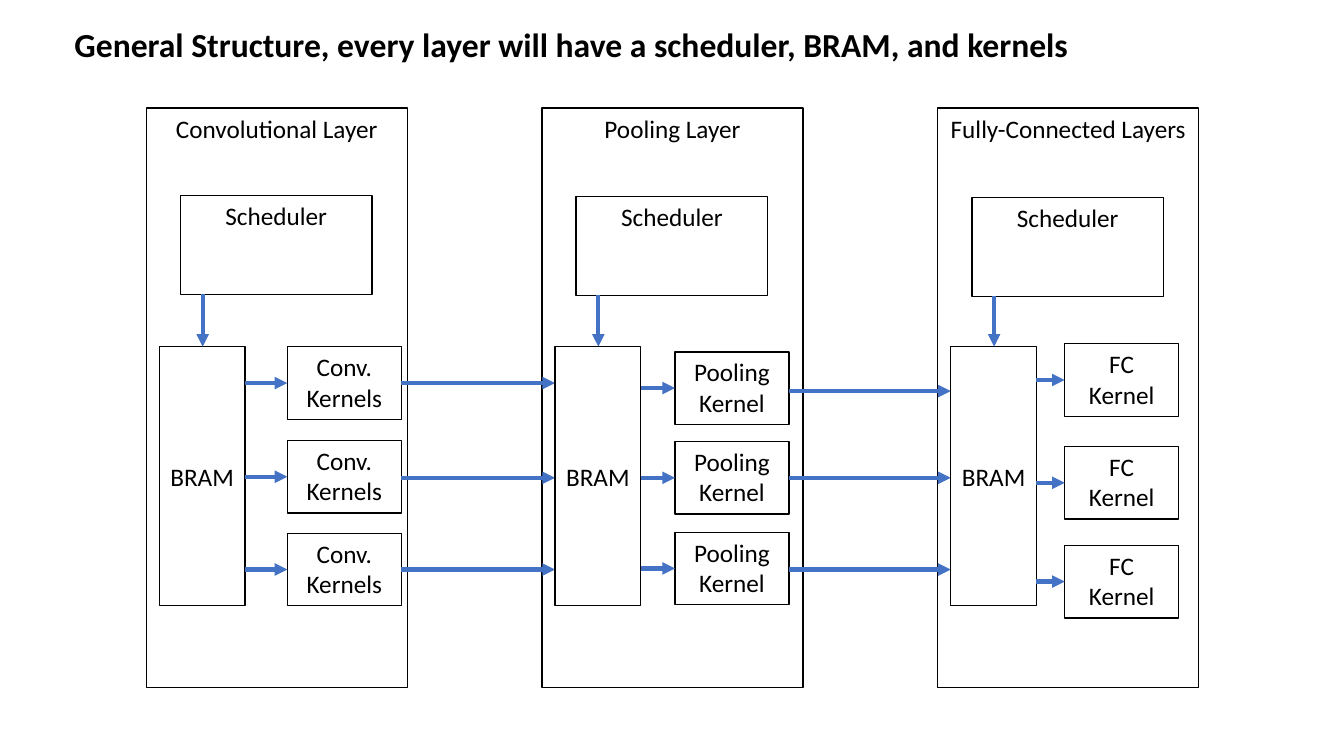
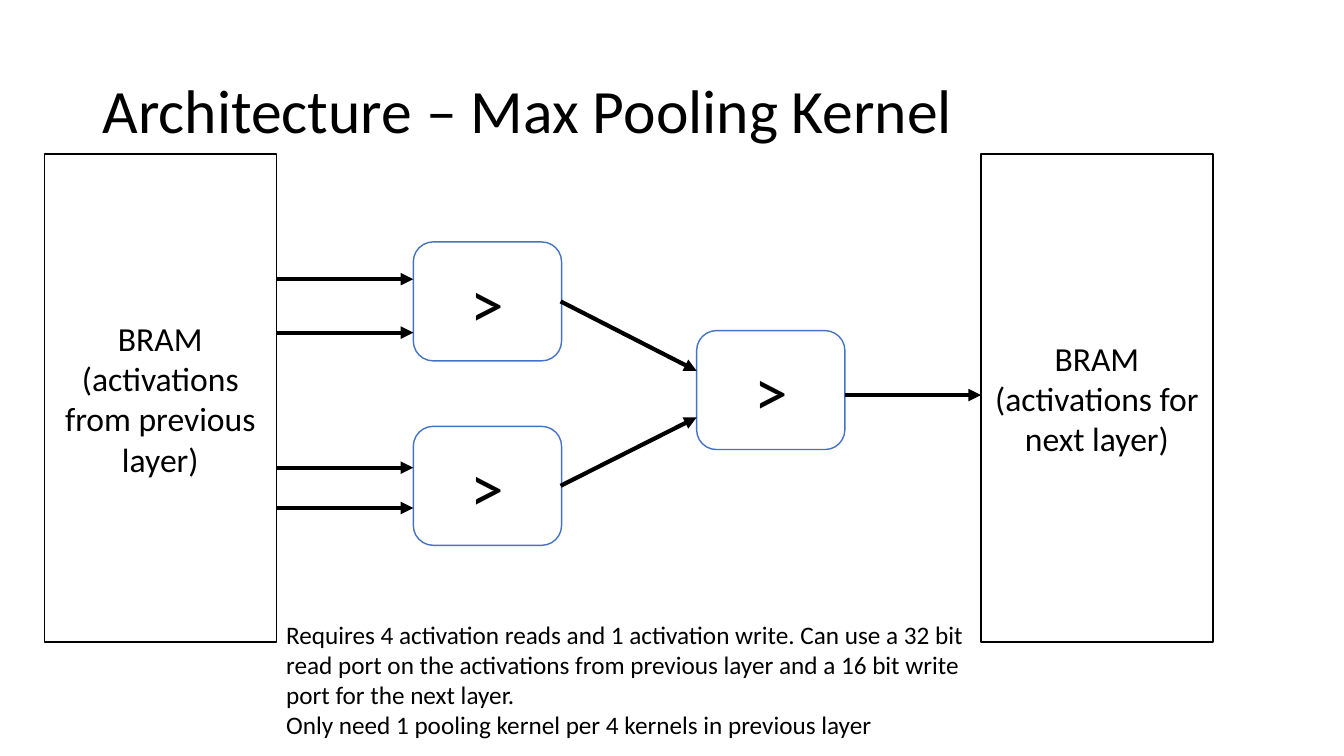
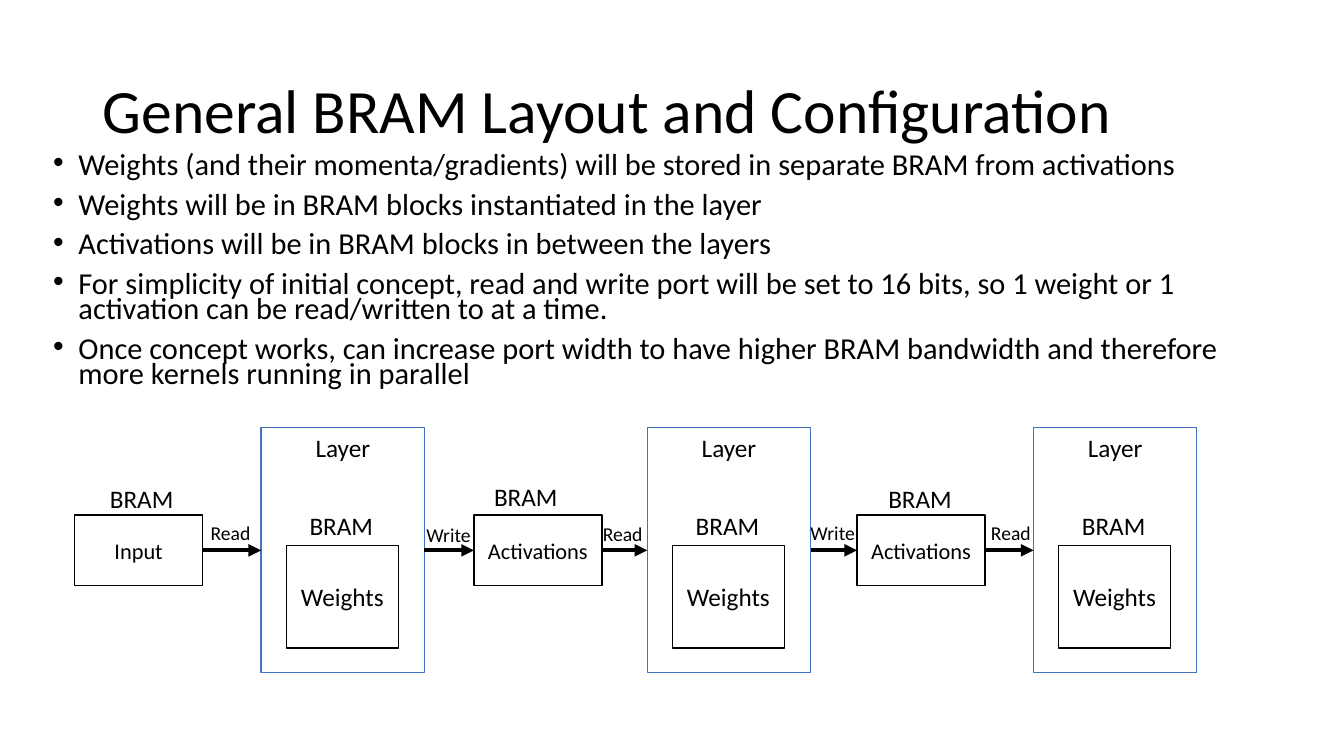
"""Three slides on the structure of a layered accelerator and its memory."""
from lxml import etree
from pptx import Presentation
from pptx.dml.color import RGBColor
from pptx.enum.shapes import MSO_CONNECTOR as LINK, MSO_SHAPE as FORM
from pptx.enum.text import MSO_ANCHOR as ANCHOR, PP_ALIGN as ALIGN
from pptx.oxml.ns import qn
from pptx.util import Inches, Pt

BLACK = RGBColor(0x00, 0x00, 0x00)
WHITE = RGBColor(0xFF, 0xFF, 0xFF)
BLUE = RGBColor(0x44, 0x72, 0xC4)
FONT = "Calibri"
HEAD = (0.92, 0.4, 11.5, 1.45)
LEFT, MID = ALIGN.LEFT, ALIGN.CENTER


def box(slide, text, area, size=18, line=None, form=FORM.RECTANGLE,
        anchor=ANCHOR.TOP, align=MID, space=None):
    """Add text, in a white outlined shape when a line colour is given."""
    area = [Inches(n) for n in area]
    if line is None:
        shape = slide.shapes.add_textbox(*area)
    else:
        shape = slide.shapes.add_shape(form, *area)
        shape.shadow.inherit = False
        shape.fill.solid()
        shape.fill.fore_color.rgb = WHITE
        shape.line.color.rgb = line
        shape.line.width = Pt(1)
    frame = shape.text_frame
    frame.text = text
    frame.word_wrap = True
    frame.vertical_anchor = anchor
    for para in frame.paragraphs:
        para.alignment = align
        para.line_spacing = space
        for run in para.runs:
            run.font.name = FONT
            run.font.size = Pt(size)
            run.font.color.rgb = BLACK
    return frame


def arrow(slide, x1, y1, x2, y2, color=BLACK):
    """Add a straight arrow that points at its second end."""
    ends = [Inches(n) for n in (x1, y1, x2, y2)]
    link = slide.shapes.add_connector(LINK.STRAIGHT, *ends)
    link.line.color.rgb = color
    link.line.width = Pt(3)
    props = link._element.spPr
    etree.SubElement(props.find(qn("a:ln")), qn("a:tailEnd"), type="triangle")
    etree.SubElement(props, qn("a:effectLst"))


deck = Presentation()
deck.slide_width, deck.slide_height = Inches(13.33), Inches(7.5)
flow, pool, bram = [deck.slides.add_slide(deck.slide_layouts[6]) for _ in range(3)]

title = box(flow, "General Structure, every layer will have a scheduler, BRAM, and kernels",
            (0.64, 0.19, 10.16, 0.5), 24, align=LEFT)
title.paragraphs[0].runs[0].font.bold = True
for slide, text in ((pool, "Architecture – Max Pooling Kernel"),
                    (bram, "General BRAM Layout and Configuration")):
    box(slide, text, HEAD, 44, anchor=ANCHOR.MIDDLE, align=LEFT, space=0.9)

STEP = 3.925
LAYERS = [
    ("Convolutional Layer", "Conv. Kernels", 1.4, (3.44, 4.37, 5.29), (3.8, 4.74, 5.65)),
    ("Pooling Layer", "Pooling Kernel", 1.32, (3.49, 4.38, 5.28), (3.88, 4.74, 5.65)),
    ("Fully-Connected Layers", "FC Kernel", 1.26, (3.41, 4.43, 5.41), ()),
]
for i, layer in enumerate(LAYERS):
    box(flow, layer[0], (1.45 + i * STEP, 1.07, 2.59, 5.75), line=BLACK)
for i, (_, name, gap, tops, outs) in enumerate(LAYERS):
    x = 1.45 + i * STEP
    top = 1.94 + i * 0.01
    store = x + 0.13
    kern = x + gap
    box(flow, "Scheduler", (x + 0.34, top, 1.9, 0.98), line=BLACK)
    box(flow, "BRAM", (store, 3.44, 0.85, 2.57), line=BLACK, anchor=ANCHOR.MIDDLE)
    arrow(flow, x + 0.56, top + 0.98, x + 0.56, 3.44, BLUE)
    for y in tops:
        box(flow, name, (kern, y, 1.13, 0.72), line=BLACK)
        arrow(flow, store + 0.85, y + 0.36, kern, y + 0.36, BLUE)
    for y in outs:
        arrow(flow, kern + 1.13, y, store + STEP, y, BLUE)

for x, y in ((4.1, 2.4), (4.1, 4.23), (6.91, 3.28)):
    box(pool, ">", (x, y, 1.47, 1.18), 48, BLUE, FORM.ROUNDED_RECTANGLE, ANCHOR.MIDDLE)
for x, text in ((0.44, "BRAM\n(activations from previous layer)"),
                (9.73, "BRAM\n(activations for next layer)")):
    box(pool, text, (x, 1.53, 2.3, 4.84), 24, BLACK, anchor=ANCHOR.MIDDLE)
for y in (2.77, 3.3, 4.64, 5.04):
    arrow(pool, 2.74, y, 4.1, y)
arrow(pool, 5.56, 2.99, 6.91, 3.68)
arrow(pool, 5.56, 4.82, 6.91, 4.14)
arrow(pool, 8.38, 3.92, 9.73, 3.92)
box(pool, "Requires 4 activation reads and 1 activation write. Can use a 32 bit read port "
    "on the activations from previous layer and a 16 bit write port for the next layer.\n"
    "Only need 1 pooling kernel per 4 kernels in previous layer",
    (2.74, 6.09, 7.1, 1.31), align=LEFT)

POINTS = [
    "Weights (and their momenta/gradients) will be stored in separate BRAM from activations",
    "Weights will be in BRAM blocks instantiated in the layer",
    "Activations will be in BRAM blocks in between the layers",
    "For simplicity of initial concept, read and write port will be set to 16 bits, "
    "so 1 weight or 1 activation can be read/written to at a time.",
    "Once concept works, can increase port width to have higher BRAM bandwidth "
    "and therefore more kernels running in parallel",
]
body = box(bram, "\n".join(POINTS), (0.43, 1.49, 12.14, 2.62), 21.7, align=LEFT, space=0.7)
for para in body.paragraphs:
    para.space_before = Pt(10)
    props = para._p.get_or_add_pPr()
    props.set("marL", str(Inches(0.25)))
    props.set("indent", str(Inches(-0.25)))
    etree.SubElement(props, qn("a:buFont"), typeface="Arial")
    etree.SubElement(props, qn("a:buChar"), char="•")

STAGES = [("Input", 0.74, 0.93, 4.75), ("Activations", 4.7, 4.74, 4.73),
          ("Activations", 8.5, 8.65, 4.75)]
for i, (text, x, tag, y) in enumerate(STAGES):
    left = 2.59 + i * 3.83
    box(bram, "Layer", (left, 4.24, 1.62, 2.43), line=BLUE)
    box(bram, "Weights", (left + 0.25, 5.41, 1.11, 1.02), line=BLACK, anchor=ANCHOR.MIDDLE)
    box(bram, "BRAM", (left + 0.32, 5.01, 0.95, 0.4))
    box(bram, text, (x, 5.11, 1.27, 0.7), 16, BLACK, anchor=ANCHOR.MIDDLE)
    box(bram, "BRAM", (tag, y, 0.95, 0.4))
    arrow(bram, x + 1.27, 5.46, left, 5.46)
    if i:
        arrow(bram, left - 2.21, 5.46, x, 5.46)
for text, x, y in (("Read", 1.99, 5.12), ("Write", 4.13, 5.14), ("Read", 5.88, 5.13),
                   ("Write", 7.94, 5.12), ("Read", 9.73, 5.12)):
    box(bram, text, (x, y, 0.65, 0.34), 14, align=LEFT)

deck.save("out.pptx")
